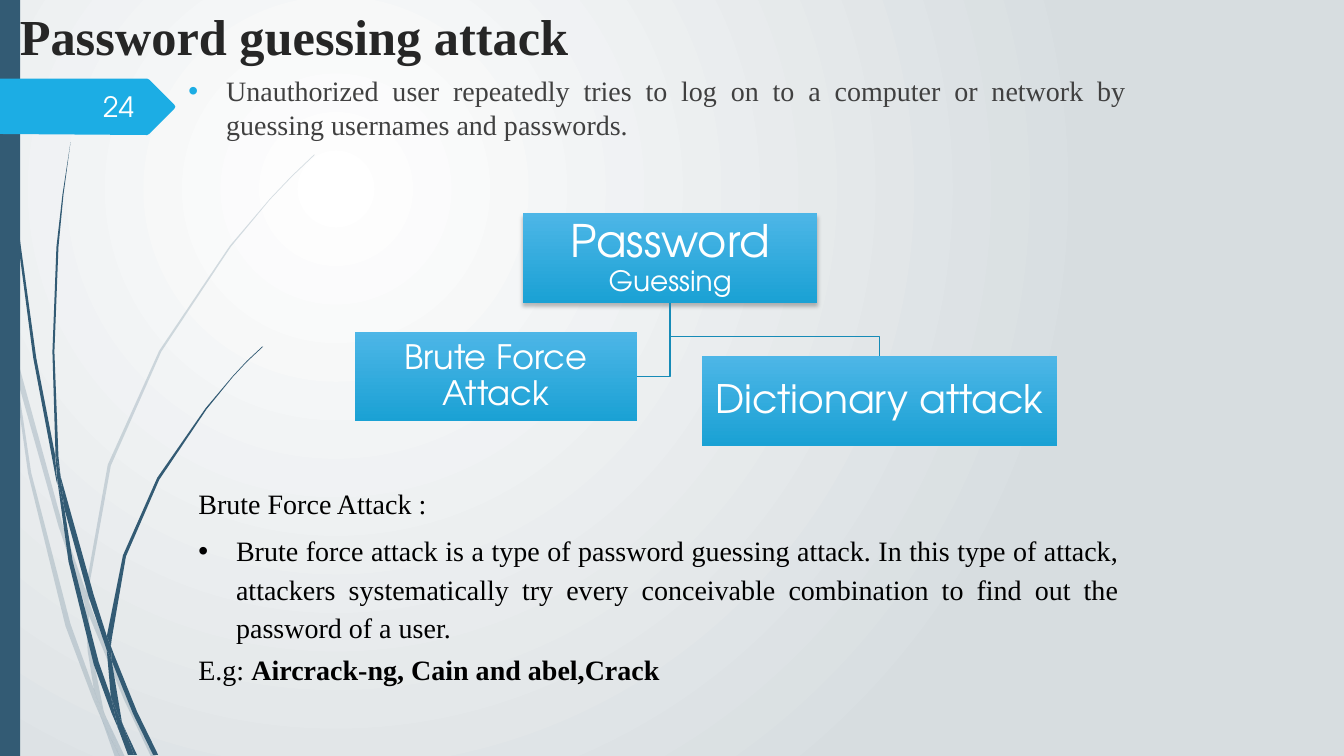
from dataclasses import dataclass
from typing import Optional

from lxml import etree
from pptx import Presentation
from pptx import util as u
from pptx.dml.color import RGBColor
from pptx.enum import shapes, text
from pptx.oxml import parse_xml
from pptx.oxml.ns import nsdecls, qn

WHITE = RGBColor(0xFF, 0xFF, 0xFF)
MIST = RGBColor(0xD7, 0xDD, 0xE0)
SLATE = RGBColor(0x33, 0x5B, 0x74)
CYAN = RGBColor(0x1C, 0xAD, 0xE4)
BOX_TOP = RGBColor(0x4D, 0xB6, 0xE7)
BOX_BOTTOM = RGBColor(0x1A, 0xA1, 0xD4)
LINK = RGBColor(0x16, 0x8B, 0xB7)
NUMBER = RGBColor(0xFE, 0xFF, 0xFF)
HEADING = RGBColor(0x26, 0x26, 0x26)
GREY = RGBColor(0x40, 0x40, 0x40)
BLACK = RGBColor(0, 0, 0)
SERIF, SANS = "Times New Roman", "TeX Gyre Adventor"
GRID = u.Cm(2.54) / 100  # outline numbers are hundredths of an inch

# Outlines as x y pairs
PALE_WISPS = [
    "11 350 9 322 0 282 0 299 10 344",
    "58 522 84 599 85 586 62 520 14 345 17 376",
    "92 607 88 596 88 610 123 694 150 751 155 751 127 692",
    "119 751 124 751 105 711",
    "93 683 70 619 31 469 17 376 11 350 28 470 65 621 92 693 101 714 99 707",
    "84 599 87 646 93 683 96 692 105 711 103 706 91 646 88 610 88 608",
    "88 584 110 462 160 349 229 245 268 198 290 175 312 154 312 153 289 175 268 197 228 244 158 348 107 461 "
    "85 584 85 586 88 596",
    "101 714 114 751 119 751",
    "88 608 88 610 88 596 85 586 84 599",
    "96 692 93 683 99 707 101 714 119 751 105 711",
]
DARK_WISPS = [
    "7 110 17 233 33 355 56 477 57 481 55 457 55 453 36 355 19 232 8 109 5 48 4 0 3 0 4 48",
    "88 592 106 645 106 633 106 631 93 590 60 472 64 505",
    "113 649 110 641 111 656 132 708 152 749 157 749 136 706",
    "110 691 98 657 72 556 64 505 57 477 68 557 93 659 111 708 117 722 116 717",
    "60 472 58 453 54 349 58 245 63 193 70 141 62 193 56 245 52 349 55 449",
    "133 749 136 749 122 719",
    "57 477 64 505 60 472 55 449 55 453",
    "111 633 125 552 158 476 205 406 231 374 245 359 261 344 260 344 245 358 231 373 204 405 156 474 122 551 "
    "106 631 110 641",
    "117 722 127 749 131 749",
    "106 645 110 691 116 706 122 719 121 716 111 656 109 651",
    "106 645 109 651 111 656 110 641 106 631 106 633",
    "116 706 110 691 116 717 117 722 130 749 133 749 122 719",
]
NUMBER_TAG = "0 78 146 78 148 79 173 104 174 106 173 108 148 133 146 134 0 133"


@dataclass
class Span:
    text: str
    size: Optional[float] = None
    bold: Optional[bool] = None


@dataclass
class Para:
    spans: list[Span]
    size: float
    color: RGBColor
    font: str = SERIF
    align: text.PP_ALIGN = text.PP_ALIGN.LEFT
    bold: Optional[bool] = None
    bullet: Optional[RGBColor] = None
    hanging: bool = False
    spacing: Optional[float] = None
    after: float = 0


@dataclass
class Block:
    left: float
    top: float
    width: float
    height: float
    paras: list[Para]
    middle: bool = False


def write(frame, paras: list[Para], middle: bool) -> None:
    frame.word_wrap = True
    frame.vertical_anchor = text.MSO_ANCHOR.MIDDLE if middle else text.MSO_ANCHOR.TOP
    for index, para in enumerate(paras):
        paragraph = frame.add_paragraph() if index else frame.paragraphs[0]
        paragraph.alignment = para.align
        paragraph.space_after = u.Pt(para.after)
        if para.spacing:
            paragraph.line_spacing = para.spacing
        props = paragraph._p.get_or_add_pPr()
        if para.hanging:
            props.set("marL", str(u.Cm(0.95)))
            props.set("indent", str(-u.Cm(0.95)))
        if para.bullet is not None:
            props.append(parse_xml(f'<a:buClr {nsdecls("a")}><a:srgbClr val="{para.bullet}"/></a:buClr>'))
            props.append(parse_xml(f'<a:buFont {nsdecls("a")} typeface="Arial"/>'))
            props.append(parse_xml(f'<a:buChar {nsdecls("a")} char="•"/>'))
        paragraph.font.name, paragraph.font.size = para.font, u.Pt(para.size)
        paragraph.font.color.rgb, paragraph.font.bold = para.color, para.bold
        for span in para.spans:
            run = paragraph.add_run()
            run.text = span.text
            if span.size:
                run.font.size = u.Pt(span.size)
            if span.bold:
                run.font.bold = True


def place(block: Block) -> list[u.Length]:
    return [u.Cm(value) for value in (block.left, block.top, block.width, block.height)]


def add_text(page, block: Block) -> None:
    write(page.shapes.add_textbox(*place(block)).text_frame, block.paras, block.middle)


def add_gradient(fill, first: RGBColor, last: RGBColor) -> None:
    fill.gradient()
    for stop, position, color in zip(fill.gradient_stops, (0, 1), (first, last)):
        stop.position, stop.color.rgb = position, color


def add_box(page, block: Block):
    box = page.shapes.add_shape(shapes.MSO_SHAPE.RECTANGLE, *place(block))
    box.shadow.inherit = False
    add_gradient(box.fill, BOX_TOP, BOX_BOTTOM)
    box.fill.gradient_angle = 270
    box.line.fill.background()
    frame = box.text_frame
    frame.margin_left = frame.margin_right = frame.margin_top = frame.margin_bottom = u.Cm(0.05)
    write(frame, block.paras, middle=True)
    return box


def add_outline(page, points: list[tuple[float, float]], closed: bool = True):
    builder = page.shapes.build_freeform(*points[0])
    builder.add_line_segments(points[1:], close=closed)
    outline = builder.convert_to_shape()
    outline.shadow.inherit = False
    return outline


def paint(shape, color: RGBColor, opacity: int = 100) -> None:
    shape.fill.solid()
    shape.fill.fore_color.rgb = color
    shape.line.fill.background()
    if opacity < 100:
        tint = next(shape._element.iter(qn("a:srgbClr")))
        etree.SubElement(tint, qn("a:alpha")).set("val", str(opacity * 1000))


def trace(outline: str) -> list[tuple[float, float]]:
    numbers = [int(value) * GRID for value in outline.split()]
    return list(zip(numbers[::2], numbers[1::2]))


def label(*spans: Span, size: float) -> list[Para]:
    return [Para(list(spans), size, WHITE, SANS, text.PP_ALIGN.CENTER, spacing=0.9)]


def main() -> None:
    deck = Presentation()
    deck.slide_width, deck.slide_height = u.Cm(33.87), u.Cm(19.05)
    page = deck.slides.add_slide(deck.slide_layouts[6])

    # Background: glow centred in the upper left quarter
    add_gradient(page.background.fill, WHITE, MIST)
    linear = next(page.element.iter(qn("a:lin")))
    linear.getparent().replace(linear, parse_xml(
        f'<a:path {nsdecls("a")} path="circle"><a:fillToRect l="50000" t="50000" r="100000" b="100000"/></a:path>'))

    # Wisps, side bar and number tag
    for wisps, opacity in ((PALE_WISPS, 20), (DARK_WISPS, 100)):
        for wisp in wisps:
            paint(add_outline(page, trace(wisp)), SLATE, opacity)
    bar = page.shapes.add_shape(shapes.MSO_SHAPE.RECTANGLE, 0, 0, u.Cm(0.51), deck.slide_height)
    bar.shadow.inherit = False
    paint(bar, SLATE)
    paint(add_outline(page, trace(NUMBER_TAG)), CYAN)

    # Text
    justify = text.PP_ALIGN.JUSTIFY
    for block in (
        Block(1.47, 2.18, 2.16, 1.02, [Para([Span("24")], 20, NUMBER, SANS, text.PP_ALIGN.RIGHT)], middle=True),
        Block(0.25, 0, 18.39, 2.11, [Para([Span("Password guessing attack")], 36, HEADING, bold=True)]),
        Block(4.5, 1.73, 24.13, 15.24, [Para([Span(
            "Unauthorized user repeatedly tries to log on to a computer or network by guessing usernames and "
            "passwords.")], 20, GREY, align=justify, bullet=CYAN, hanging=True)]),
        Block(4.75, 12.01, 23.7, 5.51, [
            Para([Span("Brute Force Attack :")], 20, BLACK, align=justify, hanging=True, spacing=1.15, after=6),
            Para([Span("Brute force attack is a type of password guessing attack. In this type of attack, attackers "
                       "systematically try every conceivable combination to find out the password of a user.")],
                 20, BLACK, align=justify, bullet=BLACK, hanging=True, spacing=1.15, after=6),
            Para([Span("E.g: "), Span("Aircrack-ng, Cain and abel,Crack", bold=True)], 20, BLACK)]),
    ):
        add_text(page, block)

    # Attack tree
    root, dictionary, brute = (add_box(page, block) for block in (
        Block(13.18, 5.38, 7.42, 2.26, label(Span("Password "), Span("Guessing", 20), size=32)),
        Block(17.68, 8.97, 8.97, 2.26, label(Span("Dictionary attack"), size=28)),
        Block(8.94, 8.36, 7.11, 2.26, label(Span("Brute Force Attack"), size=24))))
    effects = next(root._element.iter(qn("a:effectLst")))
    effects.append(parse_xml(
        f'<a:outerShdw {nsdecls("a")} blurRad="{u.Pt(3)}" dist="{u.Pt(2)}" dir="5400000" rotWithShape="0">'
        '<a:srgbClr val="000000"><a:alpha val="25000"/></a:srgbClr></a:outerShdw>'))
    stem, base = root.left + root.width / 2, root.top + root.height
    brute_middle = brute.top + brute.height / 2
    dictionary_middle = dictionary.left + dictionary.width / 2
    bend = u.Cm(8.48)
    for route in (
        [(stem, base), (stem, brute_middle), (brute.left + brute.width, brute_middle)],
        [(stem, base), (stem, bend), (dictionary_middle, bend), (dictionary_middle, dictionary.top)],
    ):
        link = add_outline(page, route, closed=False)
        link.fill.background()
        link.line.color.rgb, link.line.width = LINK, u.Pt(1.25)

    deck.save("out.pptx")


if __name__ == "__main__":
    main()
